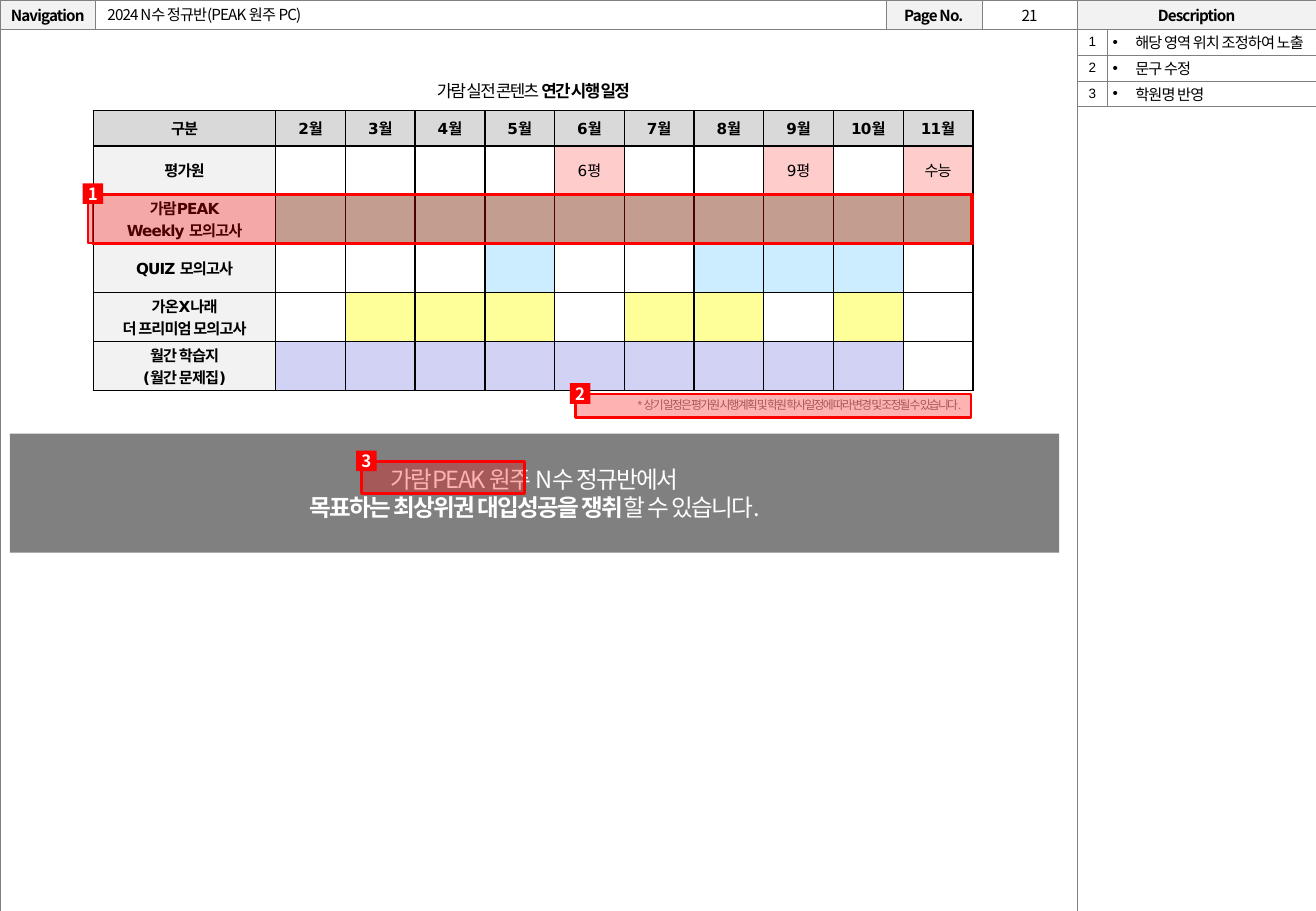
import pptx
import pptx.util
import pptx.dml.color
import pptx.enum.shapes
import pptx.enum.text
import pptx.oxml.ns
from lxml import etree

Pt = pptx.util.Pt
qn = pptx.oxml.ns.qn
ALIGN = pptx.enum.text.PP_ALIGN
MIDDLE = pptx.enum.text.MSO_ANCHOR.MIDDLE
NOTO = "Noto Sans CJK KR"
RED, WHITE, GRAY, LIGHT = "FF0000", "FFFFFF", "808080", "F2F2F2"
BAR = {"name": NOTO, "size": Pt(9)}
GRID = {"name": "DejaVu Sans", "size": Pt(9)}
NUMBER = {"name": "Arial", "size": Pt(8)}
ITEM = {"name": "Arial", "size": Pt(9)}


def rgb(value):
    return pptx.dml.color.RGBColor.from_string(value)


def set_attrs(obj, values):
    for key, value in values.items():
        setattr(obj, key, value)


def write(tf, lines, fmt, color="000000", spc=-50, align=ALIGN.CENTER, margins=(7.2, 3.6), leading=None):
    mx, my = map(Pt, margins)
    set_attrs(tf, {"word_wrap": True, "vertical_anchor": MIDDLE, "margin_left": mx,
                   "margin_right": mx, "margin_top": my, "margin_bottom": my,
                   "auto_size": pptx.enum.text.MSO_AUTO_SIZE.NONE})
    for i, line in enumerate(lines):
        p = tf.paragraphs[0] if i == 0 else tf.add_paragraph()
        set_attrs(p, {"alignment": align, "line_spacing": leading})
        for text, bold in line:
            add_run(p, text, {**fmt, "bold": bold}, color, spc)


def add_run(p, text, fmt, color, spc):
    r = p.add_run()
    r.text = text
    set_attrs(r.font, fmt)
    r.font.color.rgb = rgb(color)
    rPr = r._r.get_or_add_rPr()
    rPr.set("spc", str(spc))
    etree.SubElement(rPr, qn("a:ea")).set("typeface", NOTO)


def add_grid(s, box, cols, rows):
    table = s.shapes.add_table(len(rows), len(cols), *map(Pt, box)).table
    set_attrs(table, {"first_row": False, "horz_banding": False})
    for col, width in zip(table.columns, cols):
        col.width = Pt(width)
    for row, height in zip(table.rows, rows):
        row.height = Pt(height)
    return table


def format_cell(cell, text, fmt, fill, border, bold=False, spc=-50, margins=(0, 0), align=ALIGN.CENTER):
    mx, my = map(Pt, margins)
    set_attrs(cell, {"vertical_anchor": MIDDLE, "margin_left": mx, "margin_right": mx,
                     "margin_top": my, "margin_bottom": my})
    tcPr = cell._tc.get_or_add_tcPr()
    for side in ("lnL", "lnR", "lnT", "lnB"):
        ln = etree.SubElement(tcPr, qn("a:" + side), w=str(Pt(border[1])))
        solid = etree.SubElement(ln, qn("a:solidFill"))
        etree.SubElement(solid, qn("a:srgbClr"), val=border[0])
    if fill:
        cell.fill.solid()
        cell.fill.fore_color.rgb = rgb(fill)
    else:
        cell.fill.background()
    for i, line in enumerate(text.split("\n")):
        p = cell.text_frame.paragraphs[0] if i == 0 else cell.text_frame.add_paragraph()
        p.alignment = align
        if line:
            add_run(p, line, {**fmt, "bold": bold}, "000000", spc)
        else:
            p._p.get_or_add_endParaRPr().set("sz", "900")


def add_rect(s, box, fill=None, line=None, width=1.5, alpha=None):
    sp = s.shapes.add_shape(pptx.enum.shapes.MSO_SHAPE.RECTANGLE, *map(Pt, box))
    sp.shadow.inherit = False
    if fill:
        sp.fill.solid()
        sp.fill.fore_color.rgb = rgb(fill)
    else:
        sp.fill.background()
    if alpha:
        clr = sp.fill._xPr.find(qn("a:solidFill"))[0]
        etree.SubElement(clr, qn("a:alpha"), val=str(alpha * 1000))
    if line:
        sp.line.color.rgb = rgb(line)
        sp.line.width = Pt(width)
    else:
        sp.line.fill.background()
    return sp


def page_frame(s, box, title, page):
    x, y, w, h = box
    cols, head = (56.5, 468.5, 57, 56.5, 141.5), 17.3
    table = add_grid(s, box, cols, (head, h - head))
    labels = ("Navigation", "", "Page No.", page, "Description")
    for i, label in enumerate(labels):
        named = i % 2 == 0
        format_cell(table.cell(0, i), label, BAR, LIGHT if named else WHITE, (GRAY, 0.25), named)
        format_cell(table.cell(1, i), "", BAR, WHITE, (GRAY, 0.25))
    table.cell(1, 0).merge(table.cell(1, 3))
    sp = s.shapes.title
    set_attrs(sp, {"left": Pt(x + cols[0]), "top": Pt(y), "width": Pt(cols[1]), "height": Pt(16.6)})
    write(sp.text_frame, [[(title, False)]], BAR, align=ALIGN.LEFT)
    s.shapes._spTree.append(sp._element)


def add_text(s, box, line, size, color, align):
    sp = s.shapes.add_textbox(*map(Pt, box))
    write(sp.text_frame, [line], {"name": "Arial", "size": Pt(size)}, color, -100, align)


def schedule(s, box):
    x, y, w, h = box
    add_text(s, (x, y, w, 19.4), [("가람 실전 콘텐츠 ", False), ("연간 시행 일정", True)],
             10, "000000", ALIGN.CENTER)
    months = range(2, 12)
    exams = {6: "6평", 9: "9평", 11: "수능"}
    rows = [("평가원", "FFCCCC", exams),
            ("가람PEAK\nWeekly 모의고사", "AAE2CA", months),
            ("QUIZ 모의고사", "CCECFF", (5, 8, 9, 10)),
            ("가온X나래\n더 프리미엄 모의고사", "FFFF99", (3, 4, 5, 7, 8, 10)),
            ("월간 학습지\n(월간 문제집)", "D2D2F4", range(2, 11))]
    first, head = 108, 21
    cols = [first] + [(w - first) / len(months)] * len(months)
    table = add_grid(s, (x, y + 21.6, w, h - 43.2), cols, [head] + [29] * len(rows))
    border = ("000000", 1)
    for c, label in enumerate(["구분"] + [f"{m}월" for m in months]):
        format_cell(table.cell(0, c), label, GRID, "D9D9D9", border, True)
    for r, (label, fill, active) in enumerate(rows, 1):
        format_cell(table.cell(r, 0), label, GRID, LIGHT, border, True)
        for c, m in enumerate(months, 1):
            text = exams.get(m, "") if r == 1 else ""
            format_cell(table.cell(r, c), text, GRID, fill if m in active else WHITE, border)
    note = "* 상기 일정은 평가원 시행계획 및 학원 학사일정에 따라 변경 및 조정될 수 있습니다."
    add_text(s, (x, y + h - 16, w, 16), [(note, False)], 7, GRAY, ALIGN.RIGHT)
    add_rect(s, (x - 0.5, y + 71.3, w + 0.5, 29.3), line=RED, width=1)


def slogan(s, box):
    sp = add_rect(s, box, GRAY)
    lines = [[("가람PEAK 원주 N수 정규반에서", False)],
             [("목표하는 최상위권 대입성공을 쟁취", True), ("할 수 있습니다.", False)]]
    write(sp.text_frame, lines, {"name": NOTO, "size": Pt(14)}, WHITE, -100, leading=Pt(16.6))


def descriptions(s, box, items):
    x, y, w, h = box
    table = add_grid(s, box, (18, w - 18), [h / len(items)] * len(items))
    for i, item in enumerate(items):
        format_cell(table.cell(i, 0), str(i + 1), NUMBER, None, (GRAY, 0.25), spc=-100, margins=(2.9, 1))
        cell = table.cell(i, 1)
        pPr = cell.text_frame.paragraphs[0]._p.get_or_add_pPr()
        pPr.set("marL", str(Pt(13.5)))
        pPr.set("indent", str(Pt(-13.5)))
        etree.SubElement(pPr, qn("a:buFont")).set("typeface", "Arial")
        etree.SubElement(pPr, qn("a:buChar")).set("char", "•")
        format_cell(cell, item, ITEM, None, (GRAY, 0.25), margins=(2.9, 1), align=ALIGN.LEFT)


def marker(s, box, number):
    x, y, w, h = box
    add_rect(s, box, RED, RED, alpha=30)
    sp = add_rect(s, (x - 3.2, y - 6.5, 12.2, 12.2), RED)
    write(sp.text_frame, [[(str(number), True)]], {"name": NOTO, "size": Pt(10)}, WHITE, 0, margins=(0, 0))


def main():
    prs = pptx.Presentation()
    set_attrs(prs, {"slide_width": Pt(780), "slide_height": Pt(540)})
    s = prs.slides.add_slide(prs.slide_layouts[5])
    page_frame(s, (0, 0, 780, 540), "2024 N수 정규반(PEAK 원주 PC)", "21")
    slogan(s, (5.8, 257, 622, 70.6))
    schedule(s, (55.4, 43.9, 521.5, 204))
    descriptions(s, (638.5, 17.3, 141.5, 45.9), ("해당 영역 위치 조정하여 노출", "문구 수정", "학원명 반영"))
    boxes = ((52.2, 115.2, 523.4, 28.8), (341, 233.7, 234.7, 13.9), (214.3, 273.6, 96.5, 18.9))
    for number, box in enumerate(boxes, 1):
        marker(s, box, number)
    prs.save("out.pptx")


if __name__ == "__main__":
    main()
